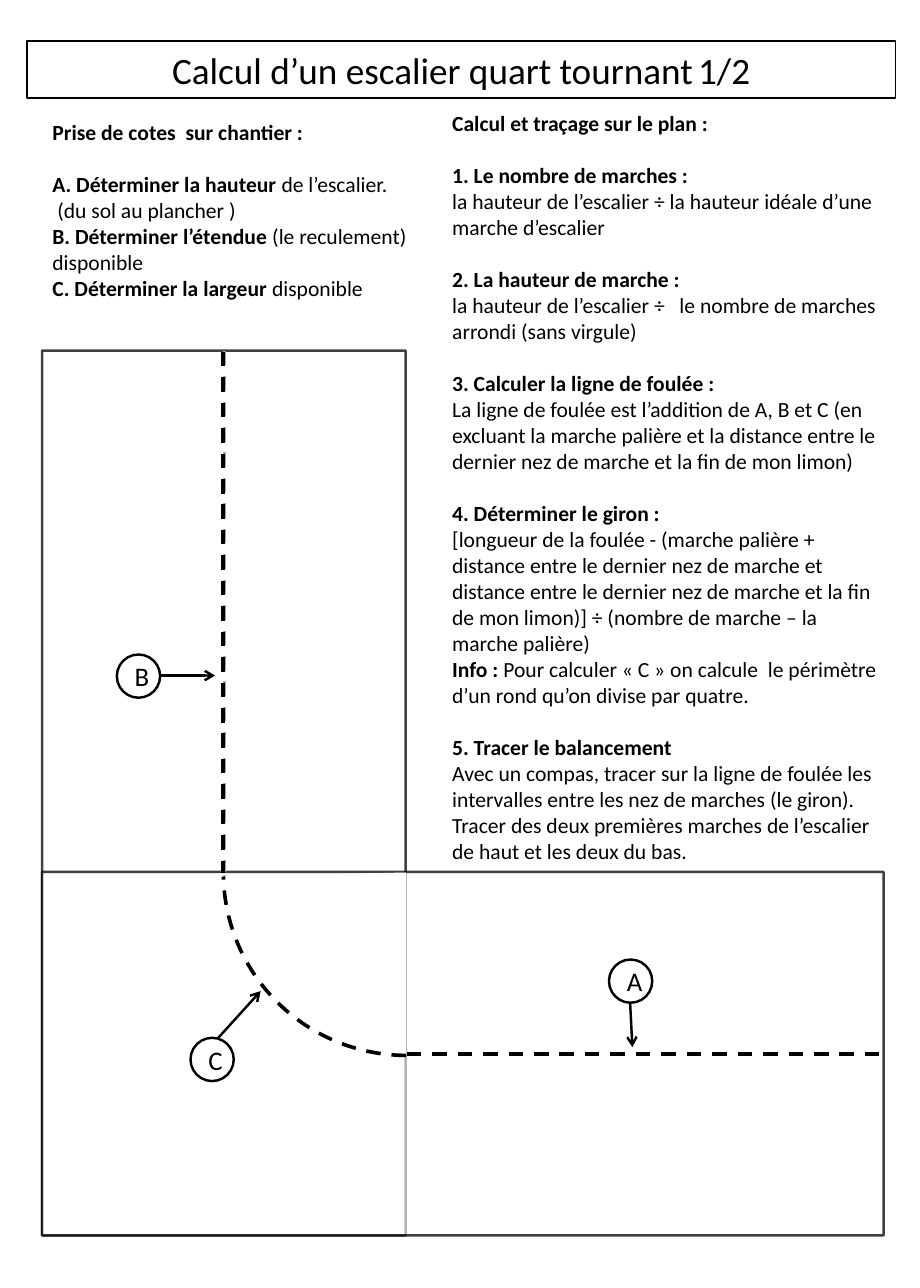
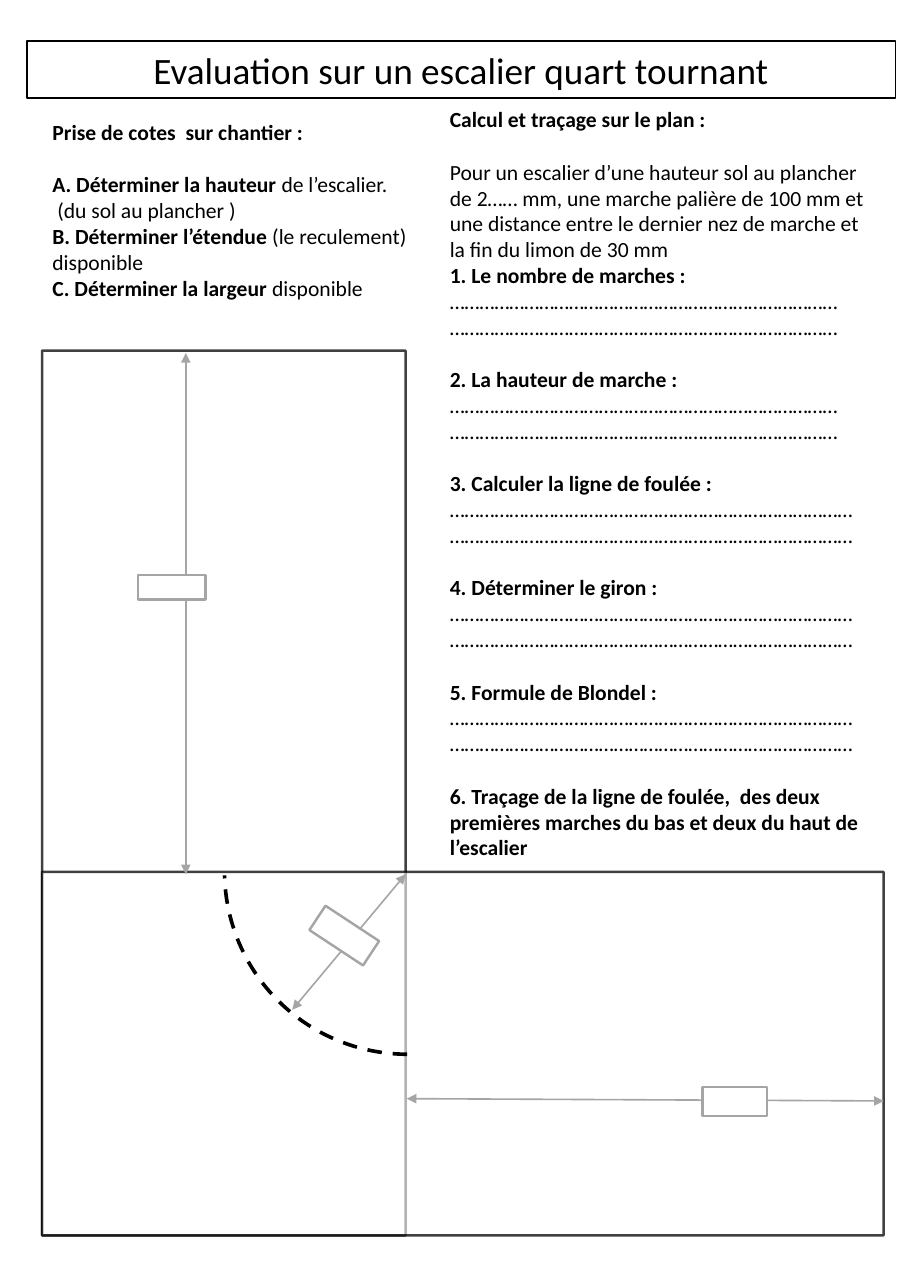
"""Build two A4 sheets about setting out a quarter-turn staircase."""
import pptx
import pptx.dml.color
import pptx.enum.dml
import pptx.enum.shapes
import pptx.enum.text
import pptx.oxml.ns
import pptx.util
from lxml import etree

Inches, Pt = pptx.util.Inches, pptx.util.Pt
SHAPES = pptx.enum.shapes.MSO_SHAPE
ALIGN = pptx.enum.text.PP_ALIGN
ANCHOR = pptx.enum.text.MSO_ANCHOR
AUTO = pptx.enum.text.MSO_AUTO_SIZE
qn = pptx.oxml.ns.qn

BLACK = pptx.dml.color.RGBColor(0x00, 0x00, 0x00)
WHITE = pptx.dml.color.RGBColor(0xFF, 0xFF, 0xFF)
GREY = pptx.dml.color.RGBColor(0xA5, 0xA5, 0xA5)
FONT = "Calibri"
TITLE_SIZE, BODY_SIZE, LETTER_SIZE = 22.9, 13.3, 16.5
BLANK_LINE = 16.25

TITLE_BOX = (0.23, 0.35, 7.43, 0.49)
SURVEY_BOX = (0.35, 0.97, 3.4, 1.67)
FLIGHTS = [(0.36, 3, 3.11, 7.57), (0.36, 7.46, 7.2, 3.11)]
ARC_SIZE = 3.13
CIRCLE = 0.37

SHORT_DOTS = ("", "…" * 26)
LONG_DOTS = ("", "…" * 27)

SURVEY = [
    [("Prise de cotes  sur chantier :", "")],
    [("A. Déterminer la hauteur ", "de l’escalier."),
     ("", " (du sol au plancher )"),
     ("B. Déterminer l’étendue ", "(le reculement) disponible"),
     ("C. Déterminer la largeur ", "disponible")],
]
METHOD = [
    [("Calcul et traçage sur le plan :", "")],
    [("1. Le nombre de marches :", ""),
     ("", "la hauteur de l’escalier ÷ la hauteur idéale d’une marche d’escalier")],
    [("2. La hauteur de marche :", ""),
     ("", "la hauteur de l’escalier ÷   le nombre de marches arrondi (sans virgule)")],
    [("3. Calculer la ligne de foulée :", ""),
     ("", "La ligne de foulée est l’addition de A, B et C (en excluant la marche palière "
          "et la distance entre le dernier nez de marche et la fin de mon limon)")],
    [("4. Déterminer le giron :", ""),
     ("", "[longueur de la foulée - (marche palière + distance entre le dernier nez de marche "
          "et distance entre le dernier nez de marche et la fin de mon limon)] ÷ "
          "(nombre de marche – la marche palière)"),
     ("Info : ", "Pour calculer « C » on calcule  le périmètre d’un rond qu’on divise par quatre.")],
    [("5. Tracer le balancement", ""),
     ("", "Avec un compas, tracer sur la ligne de foulée les intervalles entre les nez de marches "
          "(le giron). Tracer des deux premières marches de l’escalier de haut et les deux du bas.")],
]
EXERCISE = [
    [("Calcul et traçage sur le plan :", "")],
    [("", "Pour un escalier d’une hauteur sol au plancher de 2…… mm, une marche palière de 100 mm "
          "et une distance entre le dernier nez de marche et la fin du limon de 30 mm"),
     ("1. Le nombre de marches :", ""), SHORT_DOTS, SHORT_DOTS],
    [("2. La hauteur de marche :", ""), SHORT_DOTS, SHORT_DOTS],
    [("3. Calculer la ligne de foulée :", ""), LONG_DOTS, LONG_DOTS],
    [("4. Déterminer le giron :", ""), LONG_DOTS, LONG_DOTS],
    [("5. Formule de Blondel :", ""), LONG_DOTS, LONG_DOTS],
    [("6. Traçage de la ligne de foulée,  des deux premières marches du bas "
      "et deux du haut de l’escalier", "")],
]
MARKS = [
    ("A", (5.21, 8.21), (5.39, 8.57), (5.41, 8.96)),
    ("B", (1, 5.6), (1.37, 5.78), (1.84, 5.78)),
    ("C", (1.63, 8.88), (1.84, 8.91), (2.23, 8.48)),
]
DIMENSIONS = [
    ((1.59, 3.02), (1.59, 7.48), (1.18, 4.92, 0.58, 0.21), 0),
    ((7.56, 9.42), (3.48, 9.4), (6.01, 9.3, 0.55, 0.25), 0),
    ((3.47, 7.48), (2.5, 8.64), (2.67, 7.88, 0.55, 0.25), 33.4),
]


def set_line(line, color, width, dashed=False):
    line.color.rgb = color
    line.width = Pt(width)
    if dashed:
        line.dash_style = pptx.enum.dml.MSO_LINE.DASH


def add_shape(s, kind, box, color, width, fill=WHITE, dashed=False, rotation=0):
    sp = s.shapes.add_shape(kind, *map(Inches, box))
    sp.shadow.inherit = False
    sp.rotation = rotation
    if fill is None:
        sp.fill.background()
    else:
        sp.fill.solid()
        sp.fill.fore_color.rgb = fill
    set_line(sp.line, color, width, dashed)
    return sp


def add_line(s, start, end, color, width, dashed=False, head=None, tail=None):
    cx = s.shapes.add_connector(pptx.enum.shapes.MSO_CONNECTOR.STRAIGHT,
                                *map(Inches, start + end))
    set_line(cx.line, color, width, dashed)
    ln = cx.line._get_or_add_ln()
    for tag, arrow in (("a:headEnd", head), ("a:tailEnd", tail)):
        if arrow:
            etree.SubElement(ln, qn(tag), type=arrow)
    etree.SubElement(cx._element.spPr, qn("a:effectLst"))


def format_run(r, size, bold=False):
    r.font.name = FONT
    r.font.size = Pt(size)
    r.font.bold = bold
    r.font.color.rgb = BLACK


def set_centred(tf, text, size):
    tf.text = text
    tf.vertical_anchor = ANCHOR.MIDDLE
    p = tf.paragraphs[0]
    p.alignment = ALIGN.CENTER
    format_run(p.runs[0], size)


def add_text(s, box, groups):
    tf = s.shapes.add_textbox(*map(Inches, box)).text_frame
    tf.word_wrap = True
    tf.auto_size = AUTO.SHAPE_TO_FIT_TEXT
    for g, group in enumerate(groups):
        for i, parts in enumerate(group):
            p = tf.add_paragraph() if g or i else tf.paragraphs[0]
            if g and not i:
                p.space_before = Pt(BLANK_LINE)
            for text, bold in zip(parts, (True, False)):
                if text:
                    r = p.add_run()
                    r.text = text
                    format_run(r, BODY_SIZE, bold)


def add_flights(s):
    for box in FLIGHTS:
        sp = add_shape(s, SHAPES.RECTANGLE, box, BLACK, 1.5)
        fills = sp._element.spPr.iter(qn("a:srgbClr"))
        for clr, alpha in zip(list(fills), ("60000", "75000")):
            etree.SubElement(clr, qn("a:alpha"), val=alpha)


def add_arc(s, left, top, color, fill=None):
    sp = add_shape(s, SHAPES.ARC, (left, top, ARC_SIZE, ARC_SIZE), color, 2.25,
                   fill, dashed=True, rotation=180)
    sp.adjustments[0], sp.adjustments[1] = 162.05, 215.24


def add_sheet(prs, title, box, groups):
    s = prs.slides.add_slide(prs.slide_layouts[5])
    sp = s.shapes.title
    sp.left, sp.top, sp.width, sp.height = map(Inches, TITLE_BOX)
    sp.fill.solid()
    sp.fill.fore_color.rgb = WHITE
    set_line(sp.line, BLACK, 1)
    set_centred(sp.text_frame, title, TITLE_SIZE)
    sp.text_frame.auto_size = AUTO.NONE
    add_text(s, SURVEY_BOX, SURVEY)
    add_text(s, box, groups)
    add_flights(s)
    return s


def build_method(prs):
    s = add_sheet(prs, "Calcul d’un escalier quart tournant\t1/2",
                  (3.77, 0.89, 3.86, 6.61), METHOD)
    add_arc(s, 1.92, 5.89, GREY)
    add_line(s, (1.92, 3), (1.92, 7.46), GREY, 2.25, dashed=True)
    add_line(s, (3.48, 9.02), (7.56, 9.02), BLACK, 2.25, dashed=True)
    for letter, corner, start, end in MARKS:
        add_line(s, start, end, BLACK, 1.5, tail="arrow")
        sp = add_shape(s, SHAPES.OVAL, corner + (CIRCLE, CIRCLE), BLACK, 1.5)
        set_centred(sp.text_frame, letter, LETTER_SIZE)
    add_arc(s, 1.91, 5.9, BLACK, WHITE)
    add_line(s, (1.91, 3.01), (1.91, 7.47), BLACK, 2.25, dashed=True)


def build_exercise(prs):
    s = add_sheet(prs, "Evaluation sur un escalier quart tournant",
                  (3.75, 0.86, 3.77, 6.61), EXERCISE)
    for start, end, box, rotation in DIMENSIONS:
        add_line(s, start, end, GREY, 1, head="triangle", tail="triangle")
        add_shape(s, SHAPES.RECTANGLE, box, GREY, 1.5, rotation=rotation)
    add_arc(s, 1.92, 5.89, BLACK)


def main():
    prs = pptx.Presentation()
    prs.slide_width, prs.slide_height = Inches(7.87), Inches(11.02)
    build_method(prs)
    build_exercise(prs)
    prs.save("out.pptx")


if __name__ == "__main__":
    main()
